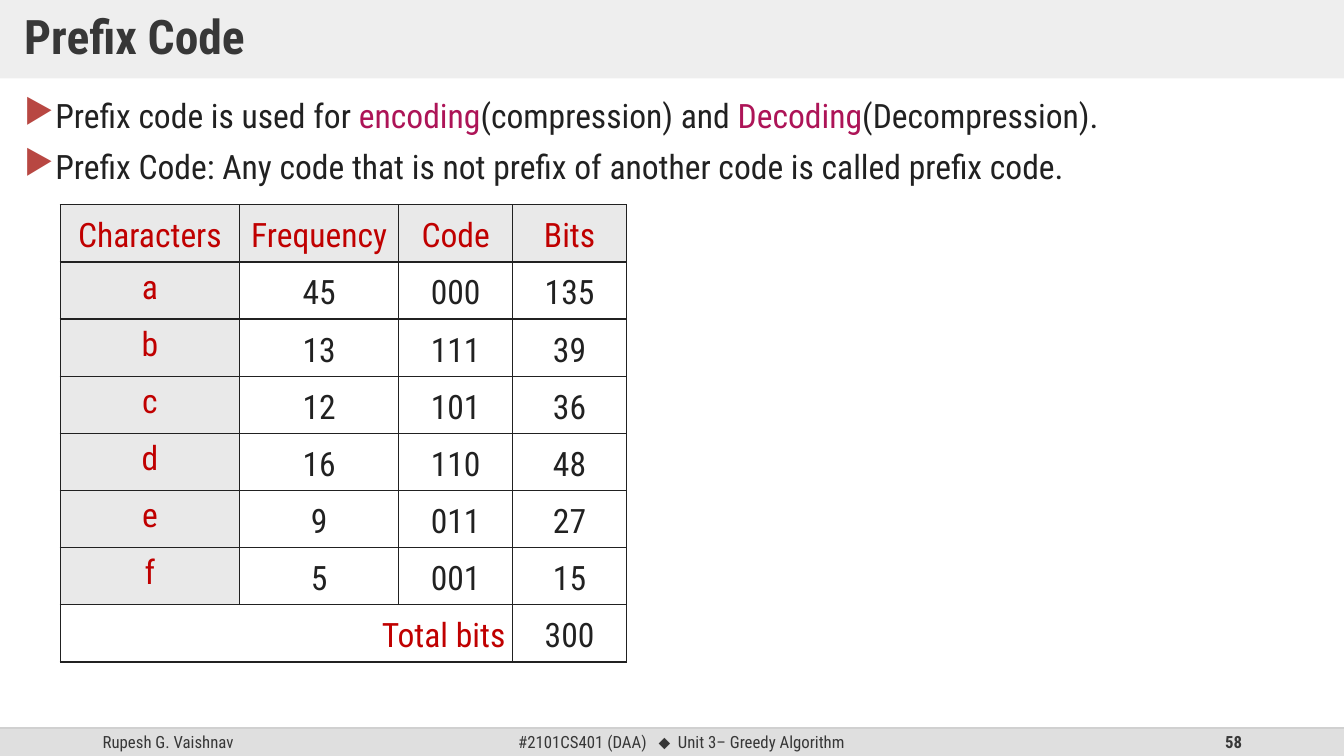
from dataclasses import dataclass

from lxml import etree
from pptx import Presentation
from pptx.dml.color import RGBColor
from pptx.enum.shapes import MSO_CONNECTOR, MSO_SHAPE
from pptx.enum.text import MSO_ANCHOR, PP_ALIGN
from pptx.oxml.ns import qn
from pptx.util import Cm, Pt

LEFT, CENTER, RIGHT, JUSTIFY = PP_ALIGN.LEFT, PP_ALIGN.CENTER, PP_ALIGN.RIGHT, PP_ALIGN.JUSTIFY
TOP, MIDDLE = MSO_ANCHOR.TOP, MSO_ANCHOR.MIDDLE
RECTANGLE, STRAIGHT = MSO_SHAPE.RECTANGLE, MSO_CONNECTOR.STRAIGHT


@dataclass(frozen=True)
class Theme:
    font: str = "Roboto Condensed"
    symbol_font: str = "Arial"
    text: str = "212121"
    muted: str = "373737"
    accent: str = "AD1457"
    bullet: str = "B84742"
    label: str = "C00000"
    band: str = "DFDFDF"
    rule: str = "BFBFBF"
    label_fill: str = "E9E9E9"
    white: str = "FFFFFF"
    title_size: int = 34
    body_size: int = 24
    footer_size: int = 12


def set_alpha(color_parent, percent):
    color = color_parent.find(".//" + qn("a:srgbClr"))
    etree.SubElement(color, qn("a:alpha"), val=str(percent * 1000))


class SlideBuilder:
    def __init__(self, slide, theme):
        self.s = slide
        self.theme = theme

    def style_run(self, r, size, color, bold=False, font=None):
        r.font.name = font or self.theme.font
        r.font.size = Pt(size)
        r.font.bold = bold
        r.font.color.rgb = RGBColor.from_string(color)

    def add_runs(self, p, parts, size, bold=False):
        """Append (text, color, font) parts to a paragraph; a font of None is the theme font."""
        for text, color, font in parts:
            r = p.add_run()
            r.text = text
            self.style_run(r, size, color, bold, font)

    def band(self, left, top, width, height, alpha=100):
        sp = self.s.shapes.add_shape(RECTANGLE, Cm(left), Cm(top), Cm(width), Cm(height))
        sp.shadow.inherit = False
        sp.fill.solid()
        sp.fill.fore_color.rgb = RGBColor.from_string(self.theme.band)
        set_alpha(sp.fill._xPr, alpha)
        sp.line.fill.background()
        return sp

    def title(self, text, width, height):
        sp = self.band(0, 0, width, height, alpha=50)
        tf = sp.text_frame
        tf.word_wrap = True
        tf.vertical_anchor = MIDDLE
        tf.margin_left = tf.margin_right = Cm(0.61)
        tf.margin_top = tf.margin_bottom = Cm(0.3)
        tf.text = text
        p = tf.paragraphs[0]
        p.alignment = LEFT
        p.line_spacing = 0.9
        self.style_run(p.runs[0], self.theme.title_size, self.theme.muted, bold=True)

    def text_box(self, left, top, width, height, anchor):
        sp = self.s.shapes.add_textbox(Cm(left), Cm(top), Cm(width), Cm(height))
        tf = sp.text_frame
        tf.word_wrap = True
        tf.vertical_anchor = anchor
        return tf

    def footer_text(self, left, top, width, height, parts, align, bold=False):
        p = self.text_box(left, top, width, height, MIDDLE).paragraphs[0]
        p.alignment = align
        parts = [(text, self.theme.muted, font) for text, font in parts]
        self.add_runs(p, parts, self.theme.footer_size, bold)

    def bullets(self, left, top, width, height, items):
        tf = self.text_box(left, top, width, height, TOP)
        for i, parts in enumerate(items):
            p = tf.add_paragraph() if i else tf.paragraphs[0]
            pPr = p._p.get_or_add_pPr()
            pPr.set("marL", str(Cm(0.74)))
            pPr.set("indent", str(-Cm(0.74)))
            color = etree.SubElement(pPr, qn("a:buClr"))
            etree.SubElement(color, qn("a:srgbClr"), val=self.theme.bullet)
            etree.SubElement(pPr, qn("a:buChar"), char="▶")
            p.alignment = JUSTIFY
            p.line_spacing = 0.9
            p.space_before = Pt(10 if i else 0)
            self.add_runs(p, [(t, c, None) for t, c in parts], self.theme.body_size)

    def rule(self, left, top, width):
        line = self.s.shapes.add_connector(STRAIGHT, Cm(left), Cm(top), Cm(left + width), Cm(top))
        line.line.width = Pt(1)
        line.line.color.rgb = RGBColor.from_string(self.theme.rule)
        spPr = line._element.spPr
        set_alpha(spPr, 70)
        etree.SubElement(spPr, qn("a:effectLst"))

    def cell(self, cell, text, color, fill=None, align=CENTER, anchor=MIDDLE):
        cell.margin_left = cell.margin_right = Cm(0.18)
        cell.margin_top = cell.margin_bottom = 0
        cell.vertical_anchor = anchor
        tcPr = cell._tc.get_or_add_tcPr()
        for side in ("lnL", "lnR", "lnT", "lnB"):
            ln = etree.SubElement(tcPr, qn("a:" + side), w=str(Pt(1)))
            solid = etree.SubElement(ln, qn("a:solidFill"))
            etree.SubElement(solid, qn("a:srgbClr"), val=self.theme.text)
        if fill:
            cell.fill.solid()
            cell.fill.fore_color.rgb = RGBColor.from_string(fill)
        else:
            cell.fill.background()
        cell.text_frame.text = text
        p = cell.text_frame.paragraphs[0]
        p.alignment = align
        p.line_spacing = 1.15
        for r in p.runs:
            self.style_run(r, self.theme.body_size, color)

    def code_table(self, left, top, widths, row_height, rows, total):
        """Draw a header row, labelled rows and a total row whose label spans all but the last column."""
        th = self.theme
        n_rows, n_cols = len(rows) + 1, len(widths)
        table = self.s.shapes.add_table(n_rows, n_cols, Cm(left), Cm(top), Cm(sum(widths)),
                                        Cm(row_height * n_rows)).table
        table.first_row = table.horz_banding = False
        for column, width in zip(table.columns, widths):
            column.width = Cm(width)
        for row in table.rows:
            row.height = Cm(row_height)
        for i, values in enumerate(rows):
            for j, value in enumerate(values):
                is_label = i == 0 or j == 0
                self.cell(table.cell(i, j), value,
                          th.label if is_label else th.text,
                          th.label_fill if is_label else None,
                          anchor=TOP if i and j == 0 else MIDDLE)
        last = n_rows - 1
        table.cell(last, 0).merge(table.cell(last, n_cols - 2))
        for j in range(n_cols - 1):
            self.cell(table.cell(last, j), "" if j else total[0], th.label, th.white, RIGHT)
        self.cell(table.cell(last, n_cols - 1), total[1], th.text)


def main():
    prs = Presentation()
    prs.slide_width, prs.slide_height = Cm(33.87), Cm(19.05)
    th = Theme()
    b = SlideBuilder(prs.slides.add_slide(prs.slide_layouts[6]), th)

    width, footer_top, footer_height = 33.87, 18.34, 0.71
    b.band(0, footer_top, width, footer_height)
    b.footer_text(2.34, footer_top, 7.62, footer_height, [("Rupesh G. Vaishnav", None)], LEFT)
    b.footer_text(11.23, footer_top, 11.89, footer_height,
                  [("#2101CS401 (DAA)   ", None), ("⬥", th.symbol_font),
                   ("  Unit 3– Greedy Algorithm", None)], CENTER)
    b.footer_text(23.93, footer_top, 7.62, footer_height, [("58", None)], RIGHT, bold=True)
    b.rule(0, footer_top, width)

    b.title("Prefix Code", width, 1.98)
    b.bullets(0.36, 2.39, 33.15, 15.52, [
        [("Prefix code is used for ", th.text), ("encoding", th.accent),
         ("(compression) and ", th.text), ("Decoding", th.accent),
         ("(Decompression).", th.text)],
        [("Prefix Code: Any code that is not prefix of another code is called prefix code.",
          th.text)],
    ])
    b.code_table(1.52, 5.16, [4.52, 4.01, 2.87, 2.87], 1.44, [
        ("Characters", "Frequency", "Code", "Bits"),
        ("a", "45", "000", "135"),
        ("b", "13", "111", "39"),
        ("c", "12", "101", "36"),
        ("d", "16", "110", "48"),
        ("e", "9", "011", "27"),
        ("f", "5", "001", "15"),
    ], ("Total bits", "300"))
    prs.save("out.pptx")


if __name__ == "__main__":
    main()
